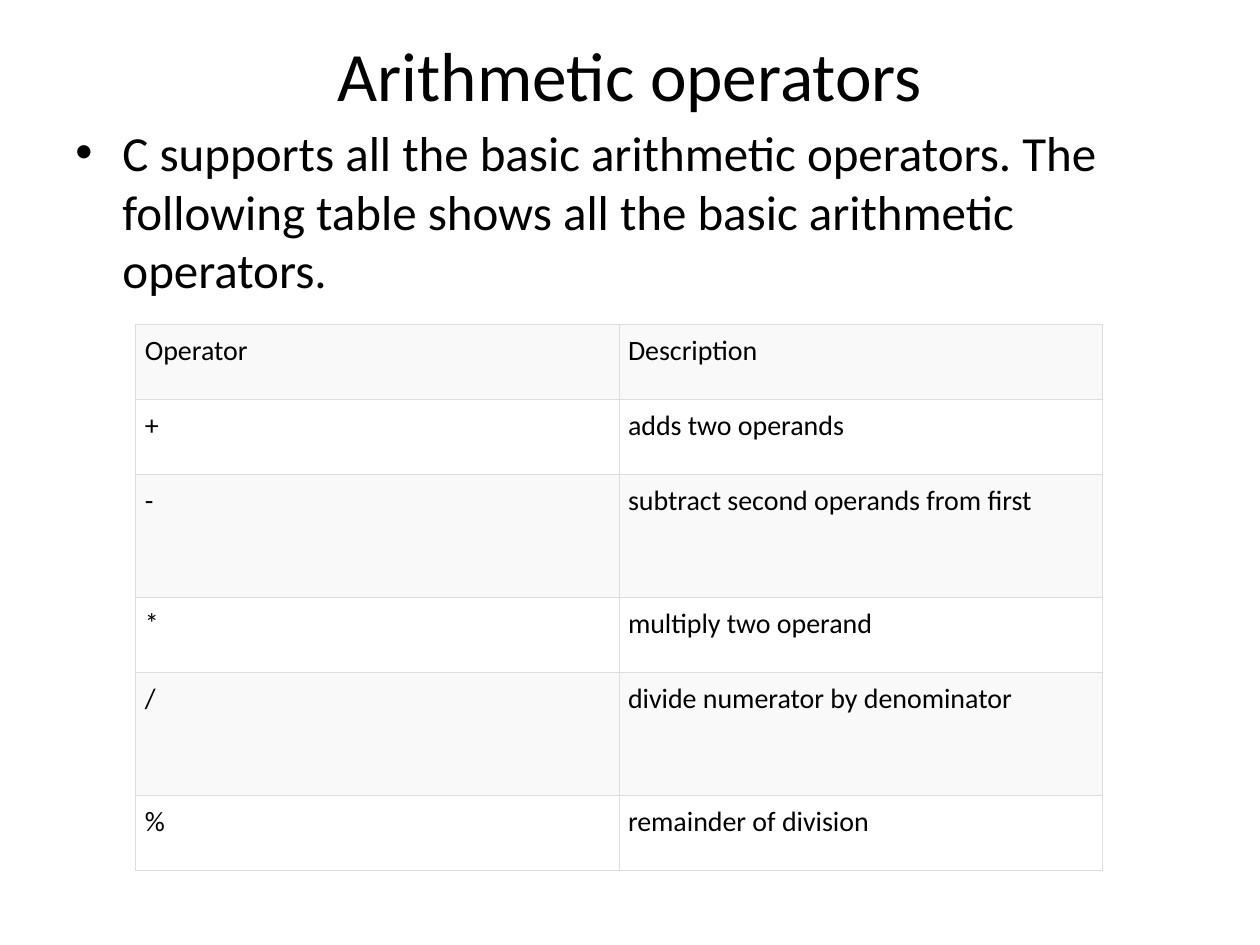
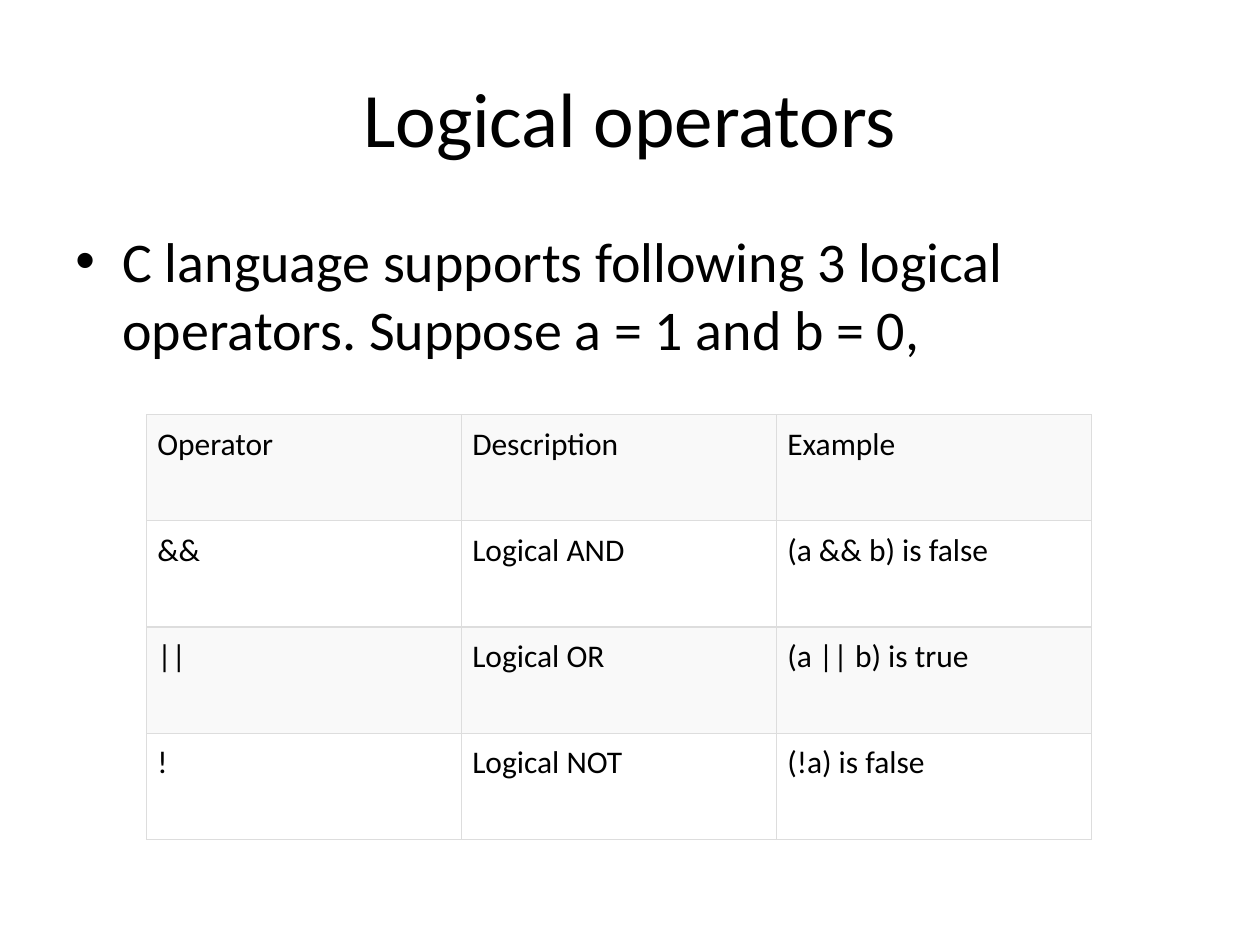
"""Build two slides that tabulate the arithmetic and logical operators of C."""
from dataclasses import dataclass

from lxml import etree
from pptx import Presentation
from pptx import util as u
from pptx.dml import color
from pptx.enum import text
from pptx.oxml import ns


@dataclass(frozen=True)
class Theme:
    font: str = "Calibri"
    ink: str = "000000"
    band: str = "F9F9F9"
    rule: str = "DDDDDD"
    rule_width: float = 0.75
    title: float = 44
    title_small: float = 39.6
    body: float = 32
    body_small: float = 28
    cell: float = 18
    cell_small: float = 16


theme = Theme()


def write(frame, words, size, align=text.PP_ALIGN.LEFT, bullet=False):
    frame.word_wrap = True
    para = frame.paragraphs[0]
    para.alignment = align
    span = para.add_run()
    span.text = words
    span.font.name = theme.font
    span.font.size = u.Pt(size)
    span.font.color.rgb = color.RGBColor.from_string(theme.ink)
    if bullet:
        props = para._p.get_or_add_pPr()
        props.set("marL", str(u.Cm(0.95)))
        props.set("indent", str(u.Cm(-0.95)))
        etree.SubElement(props, ns.qn("a:buFont"), typeface="Arial")
        etree.SubElement(props, ns.qn("a:buChar"), char="•")


def draw_borders(cell):
    props = cell._tc.get_or_add_tcPr()
    for side in ("lnL", "lnR", "lnT", "lnB"):
        line = etree.SubElement(props, ns.qn(f"a:{side}"), w=str(u.Pt(theme.rule_width)))
        fill = etree.SubElement(line, ns.qn("a:solidFill"))
        etree.SubElement(fill, ns.qn("a:srgbClr"), val=theme.rule)


lessons = [
    dict(
        title="Arithmetic operators", title_size=theme.title_small,
        title_top=0.63, title_height=1.73,
        body="C supports all the basic arithmetic operators. "
             "The following table shows all the basic arithmetic operators.",
        body_size=theme.body_small, body_top=2.34,
        left=2.74, top=6.55, column=9.74, inset=0.18, cell_size=theme.cell_small,
        heights=[1.51, 1.51, 2.48, 1.51, 2.48, 1.51],
        rows=[
            ("Operator", "Description"),
            ("+", "adds two operands"),
            ("-", "subtract second operands from first"),
            ("*", "multiply two operand"),
            ("/", "divide numerator by denominator"),
            ("%", "remainder of division"),
        ],
    ),
    dict(
        title="Logical operators", title_size=theme.title,
        title_top=0.76, title_height=3.18,
        body="C language supports following 3 logical operators. "
             "Suppose a = 1 and b = 0,",
        body_size=theme.body, body_top=4.45,
        left=2.96, top=8.36, column=6.35, inset=0.21, cell_size=theme.cell,
        heights=[2.14] * 4,
        rows=[
            ("Operator", "Description", "Example"),
            ("&&", "Logical AND", "(a && b) is false"),
            ("||", "Logical OR", "(a || b) is true"),
            ("!", "Logical NOT", "(!a) is false"),
        ],
    ),
]

deck = Presentation()
deck.slide_width, deck.slide_height = u.Cm(25.4), u.Cm(19.05)
margin, content_width, body_bottom = 1.27, 22.86, 17.02

for lesson in lessons:
    page = deck.slides.add_slide(deck.slide_layouts[6])

    title_box = page.shapes.add_textbox(
        u.Cm(margin), u.Cm(lesson["title_top"]),
        u.Cm(content_width), u.Cm(lesson["title_height"]))
    title_box.text_frame.vertical_anchor = text.MSO_ANCHOR.MIDDLE
    title_box.text_frame.margin_top = title_box.text_frame.margin_bottom = 0
    write(title_box.text_frame, lesson["title"], lesson["title_size"],
          align=text.PP_ALIGN.CENTER)

    body_box = page.shapes.add_textbox(
        u.Cm(margin), u.Cm(lesson["body_top"]),
        u.Cm(content_width), u.Cm(body_bottom - lesson["body_top"]))
    write(body_box.text_frame, lesson["body"], lesson["body_size"], bullet=True)

    rows, heights = lesson["rows"], lesson["heights"]
    columns = len(rows[0])
    table = page.shapes.add_table(
        len(rows), columns, u.Cm(lesson["left"]), u.Cm(lesson["top"]),
        u.Cm(columns * lesson["column"]), u.Cm(sum(heights))).table
    table.first_row = table.horz_banding = False
    for column in table.columns:
        column.width = u.Cm(lesson["column"])
    for row_index, (row, height) in enumerate(zip(rows, heights)):
        table.rows[row_index].height = u.Cm(height)
        for column_index, words in enumerate(row):
            cell = table.cell(row_index, column_index)
            cell.margin_left = cell.margin_right = u.Cm(lesson["inset"])
            cell.margin_top = cell.margin_bottom = u.Cm(lesson["inset"])
            draw_borders(cell)
            if row_index % 2 == 0:
                cell.fill.solid()
                cell.fill.fore_color.rgb = color.RGBColor.from_string(theme.band)
            else:
                cell.fill.background()
            write(cell.text_frame, words, lesson["cell_size"])

deck.save("out.pptx")
